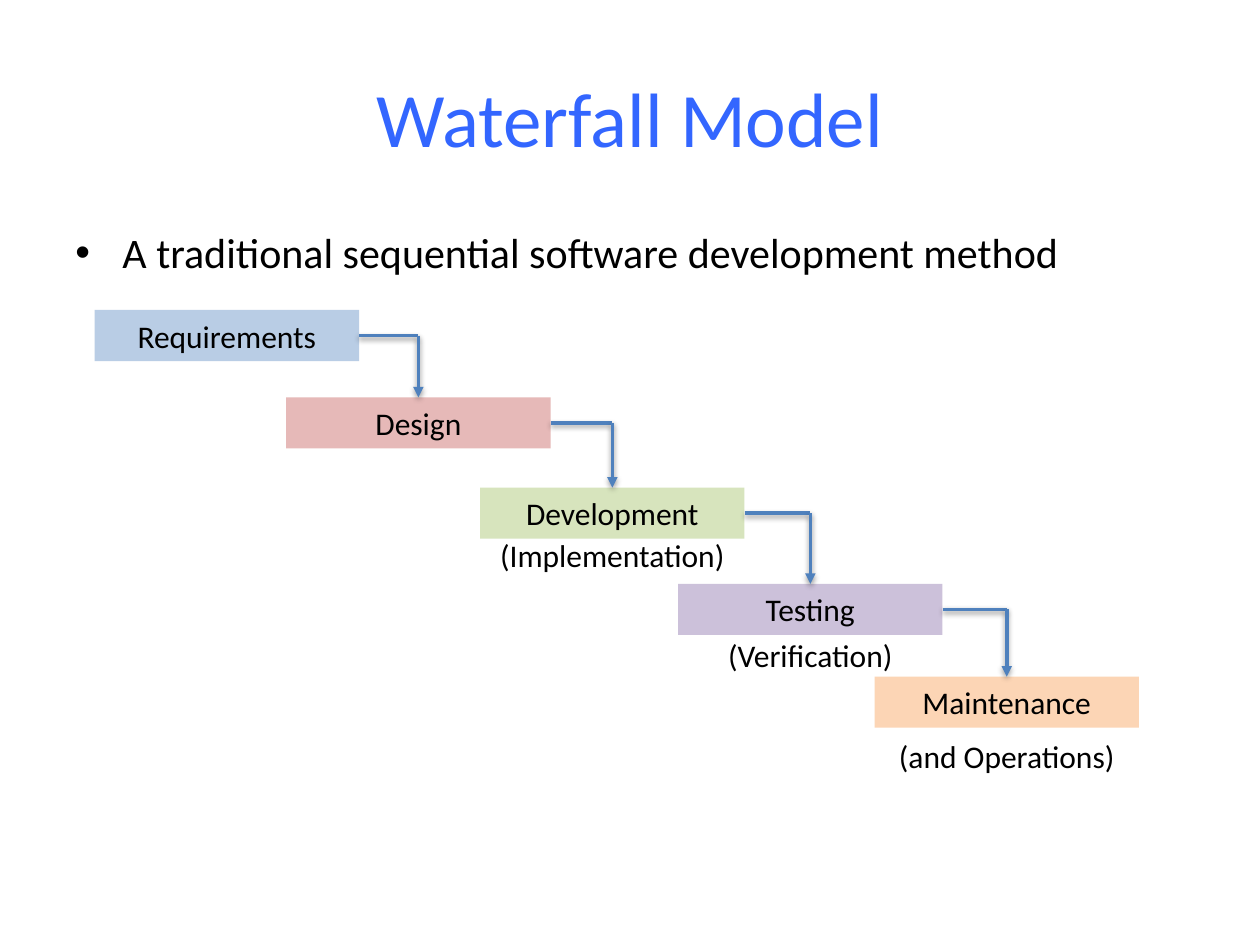
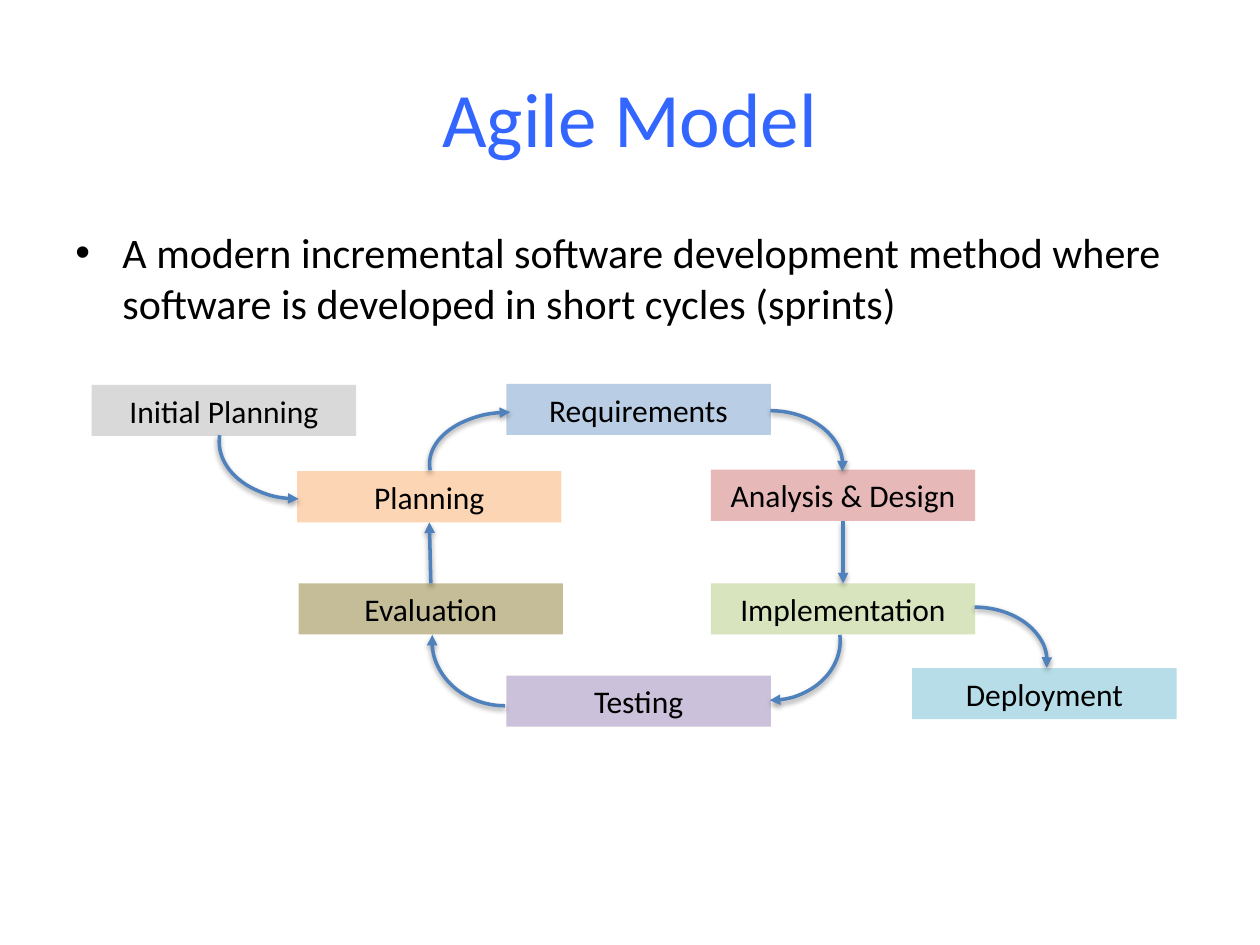
from dataclasses import dataclass
from itertools import pairwise

from lxml.etree import SubElement
from pptx import Presentation
from pptx.dml.color import RGBColor
from pptx.enum.shapes import MSO_CONNECTOR, MSO_SHAPE
from pptx.enum.text import MSO_ANCHOR, MSO_AUTO_SIZE, PP_ALIGN
from pptx.oxml.ns import qn
from pptx.util import Cm, Pt

# Shared look
FONT = "Calibri"
TITLE_BLUE = RGBColor(0x33, 0x66, 0xFF)
ARROW_BLUE = RGBColor(0x4F, 0x81, 0xBD)
BLACK = RGBColor(0x00, 0x00, 0x00)
BLUE = RGBColor(0xB9, 0xCD, 0xE5)
PINK = RGBColor(0xE6, 0xB9, 0xB8)
GREEN = RGBColor(0xD7, 0xE4, 0xBD)
PURPLE = RGBColor(0xCC, 0xC1, 0xDA)
ORANGE = RGBColor(0xFC, 0xD5, 0xB5)
AQUA = RGBColor(0xB7, 0xDE, 0xE8)
TAN = RGBColor(0xC4, 0xBD, 0x97)
GREY = RGBColor(0xD9, 0xD9, 0xD9)

MARGIN, CONTENT_WIDTH = Cm(1.27), Cm(22.86)
BOX_WIDTH, BOX_HEIGHT = Cm(5.33), Cm(1.03)
TOP, BOTTOM, RIGHT = 0, 2, 3  # connection sites of a rectangle


@dataclass(frozen=True)
class Stage:
    """A coloured box, or a plain caption when it has no fill; lengths in cm."""
    text: str
    left: float
    top: float
    fill: RGBColor | None = None


@dataclass(frozen=True)
class CurvedArrow:
    """A quarter arc with one arrowhead; lengths in cm."""
    left: float
    top: float
    width: float
    height: float
    flip: str = ""
    arrowhead: str = "tailEnd"


WATERFALL_STAGES = [
    Stage("Requirements", 1.91, 6.25, BLUE),
    Stage("Design", 5.77, 8.01, PINK),
    Stage("Development", 9.68, 9.83, GREEN),
    Stage("Testing", 13.67, 11.77, PURPLE),
    Stage("Maintenance", 17.63, 13.64, ORANGE),
]
WATERFALL_CAPTIONS = [
    Stage("(Implementation)", 9.68, 10.69),
    Stage("(Verification)", 13.67, 12.7),
    Stage("(and Operations)", 17.63, 14.73),
]
AGILE_STAGES = [
    Stage("Requirements", 10.21, 7.74, BLUE),
    Stage("Analysis & Design", 14.33, 9.47, PINK),
    Stage("Implementation", 14.33, 11.76, GREEN),
    Stage("Testing", 10.21, 13.62, PURPLE),
    Stage("Deployment", 18.39, 13.47, AQUA),
    Stage("Planning", 5.99, 9.5, ORANGE),
    Stage("Evaluation", 6.02, 11.76, TAN),
    Stage("Initial Planning", 1.85, 7.76, GREY),
]
AGILE_ARROWS = [
    CurvedArrow(14.07, 8.28, 2.92, 2.21),
    CurvedArrow(14.1, 11.71, 2.84, 2.41, "V", "headEnd"),
    CurvedArrow(8.66, 8.31, 3.25, 2.08, "H", "headEnd"),
    CurvedArrow(8.71, 11.61, 2.95, 2.62, "HV"),
    CurvedArrow(4.42, 7.75, 3.2, 2.31, "HV", "headEnd"),
    CurvedArrow(18.19, 12.24, 2.92, 2.21),
]


def set_text(shape, text: str, size: int, color: RGBColor, align: PP_ALIGN):
    shape.text_frame.word_wrap = True
    shape.text_frame.text = text
    paragraph = shape.text_frame.paragraphs[0]
    paragraph.alignment = align
    paragraph.font.name = FONT
    paragraph.font.size = Pt(size)
    paragraph.font.color.rgb = color
    return paragraph


def add_topic_slide(presentation, title: str, summary: str):
    """Add a slide with the shared title style and one bulleted summary."""
    slide = presentation.slides.add_slide(presentation.slide_layouts[5])
    heading = slide.shapes.title
    heading.left, heading.top = MARGIN, Cm(0.76)
    heading.width, heading.height = CONTENT_WIDTH, Cm(3.18)
    set_text(heading, title, 44, TITLE_BLUE, PP_ALIGN.CENTER)
    heading.text_frame.vertical_anchor = MSO_ANCHOR.MIDDLE

    body = slide.shapes.add_textbox(MARGIN, Cm(4.45), CONTENT_WIDTH, Cm(12.57))
    paragraph = set_text(body, summary, 24, BLACK, PP_ALIGN.LEFT)
    properties = paragraph._p.get_or_add_pPr()
    properties.set("marL", str(Cm(0.95)))
    properties.set("indent", str(-Cm(0.95)))
    SubElement(properties, qn("a:buFont"), typeface="Arial")
    SubElement(properties, qn("a:buChar"), char="•")
    return slide


def add_stage(slide, stage: Stage):
    place = Cm(stage.left), Cm(stage.top), BOX_WIDTH, BOX_HEIGHT
    if stage.fill is None:
        shape = slide.shapes.add_textbox(*place)
    else:
        shape = slide.shapes.add_shape(MSO_SHAPE.RECTANGLE, *place)
        shape.shadow.inherit = False
        shape.fill.solid()
        shape.fill.fore_color.rgb = stage.fill
        shape.line.fill.background()
    set_text(shape, stage.text, 18, BLACK, PP_ALIGN.CENTER)
    shape.text_frame.auto_size = MSO_AUTO_SIZE.SHAPE_TO_FIT_TEXT
    return shape


def style_arrow(shape, arrowhead: str = "") -> None:
    """Give a line its colour, width, optional arrowhead and soft shadow."""
    shape.line.color.rgb = ARROW_BLUE
    shape.line.width = Pt(2)
    properties = shape.element.spPr
    if arrowhead:
        SubElement(properties.find(qn("a:ln")), qn(f"a:{arrowhead}"), type="triangle")
    effects = SubElement(properties, qn("a:effectLst"))
    shadow = SubElement(effects, qn("a:outerShdw"), blurRad="40000",
                        dist="20000", dir="5400000", rotWithShape="0")
    color = SubElement(shadow, qn("a:srgbClr"), val="000000")
    SubElement(color, qn("a:alpha"), val="38000")


def add_step_arrow(slide, source, target) -> None:
    """Go right from one box, then down to the top of the next."""
    corner = target.left + target.width // 2, source.top + source.height // 2
    across = slide.shapes.add_connector(MSO_CONNECTOR.STRAIGHT, *corner, *corner)
    across.begin_connect(source, RIGHT)
    style_arrow(across)
    down = slide.shapes.add_connector(MSO_CONNECTOR.STRAIGHT, *corner, *corner)
    down.end_connect(target, TOP)
    style_arrow(down, "tailEnd")


def add_straight_arrow(slide, source, source_site: int, target, target_site: int) -> None:
    arrow = slide.shapes.add_connector(MSO_CONNECTOR.STRAIGHT, 0, 0, 0, 0)
    arrow.begin_connect(source, source_site)
    arrow.end_connect(target, target_site)
    style_arrow(arrow, "tailEnd")


def add_curved_arrow(slide, arrow: CurvedArrow) -> None:
    arc = slide.shapes.add_shape(MSO_SHAPE.ARC, Cm(arrow.left), Cm(arrow.top),
                                 Cm(arrow.width), Cm(arrow.height))
    arc.adjustments[0] = 162
    arc.adjustments[1] = 2.81
    arc.fill.background()
    for axis in arrow.flip:
        arc.element.spPr.find(qn("a:xfrm")).set(f"flip{axis}", "1")
    style_arrow(arc, arrow.arrowhead)


def build_waterfall(presentation) -> None:
    slide = add_topic_slide(presentation, "Waterfall Model",
                            "A traditional sequential software development method")
    boxes = [add_stage(slide, stage) for stage in WATERFALL_STAGES]
    for source, target in pairwise(boxes):
        add_step_arrow(slide, source, target)
    for caption in WATERFALL_CAPTIONS:
        add_stage(slide, caption)


def build_agile(presentation) -> None:
    slide = add_topic_slide(
        presentation, "Agile Model",
        "A modern incremental software development method where "
        "software is developed in short cycles (sprints)")
    boxes = {stage.text: add_stage(slide, stage) for stage in AGILE_STAGES}
    add_straight_arrow(slide, boxes["Analysis & Design"], BOTTOM,
                       boxes["Implementation"], TOP)
    add_straight_arrow(slide, boxes["Evaluation"], TOP, boxes["Planning"], BOTTOM)
    for arrow in AGILE_ARROWS:
        add_curved_arrow(slide, arrow)


def main() -> None:
    presentation = Presentation()
    presentation.slide_width, presentation.slide_height = Cm(25.4), Cm(19.05)
    build_waterfall(presentation)
    build_agile(presentation)
    presentation.save("out.pptx")


if __name__ == "__main__":
    main()
